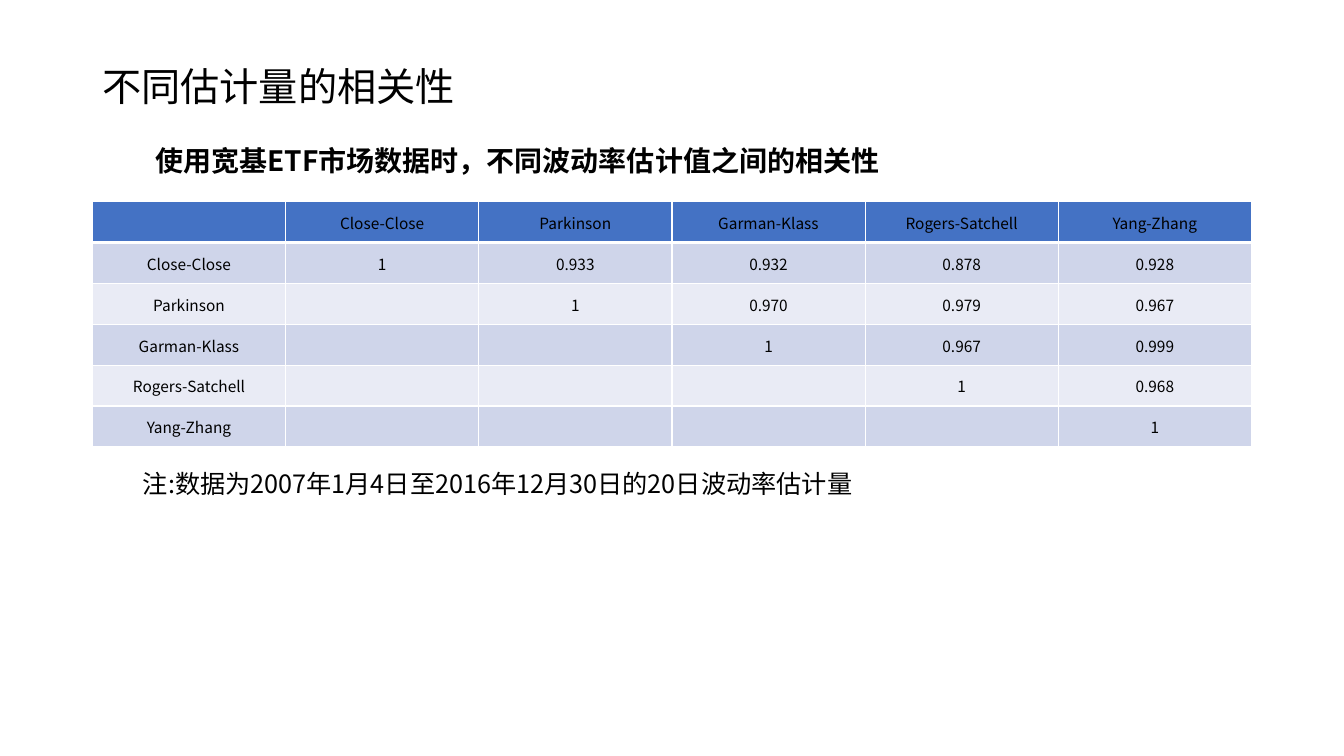
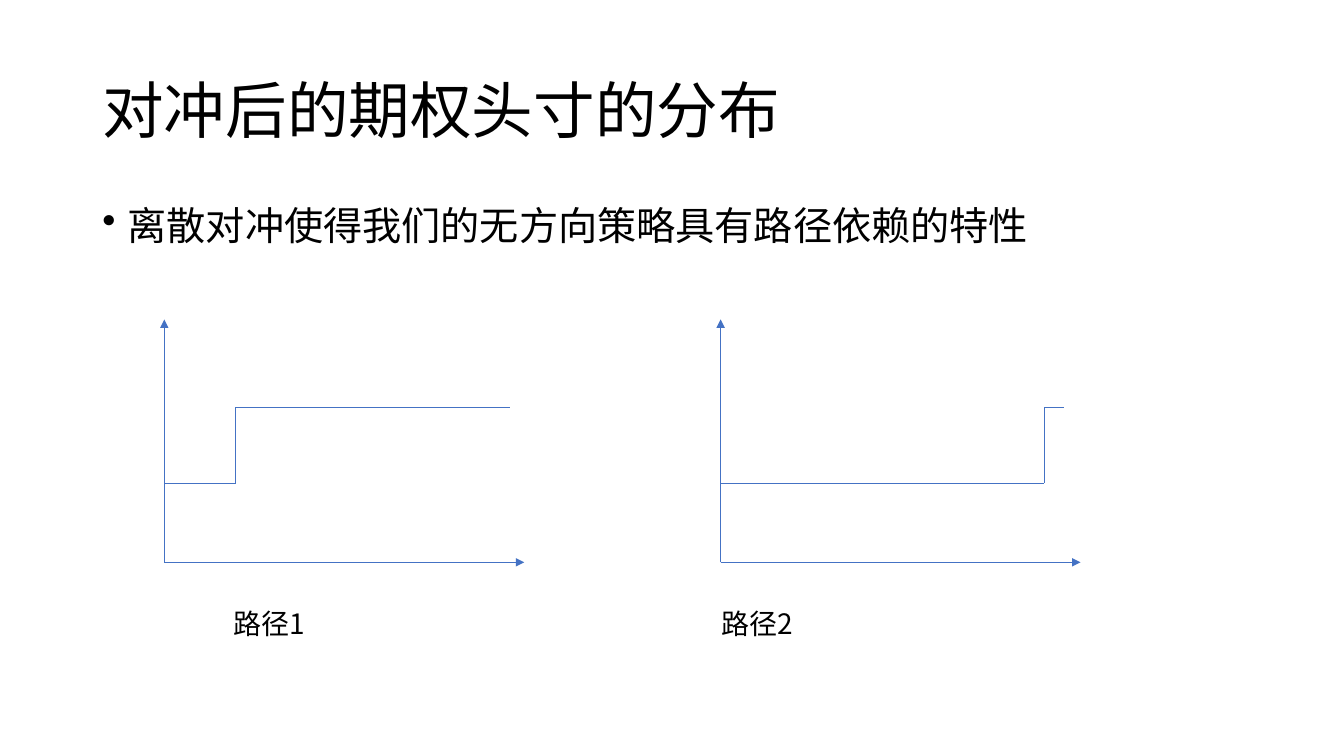
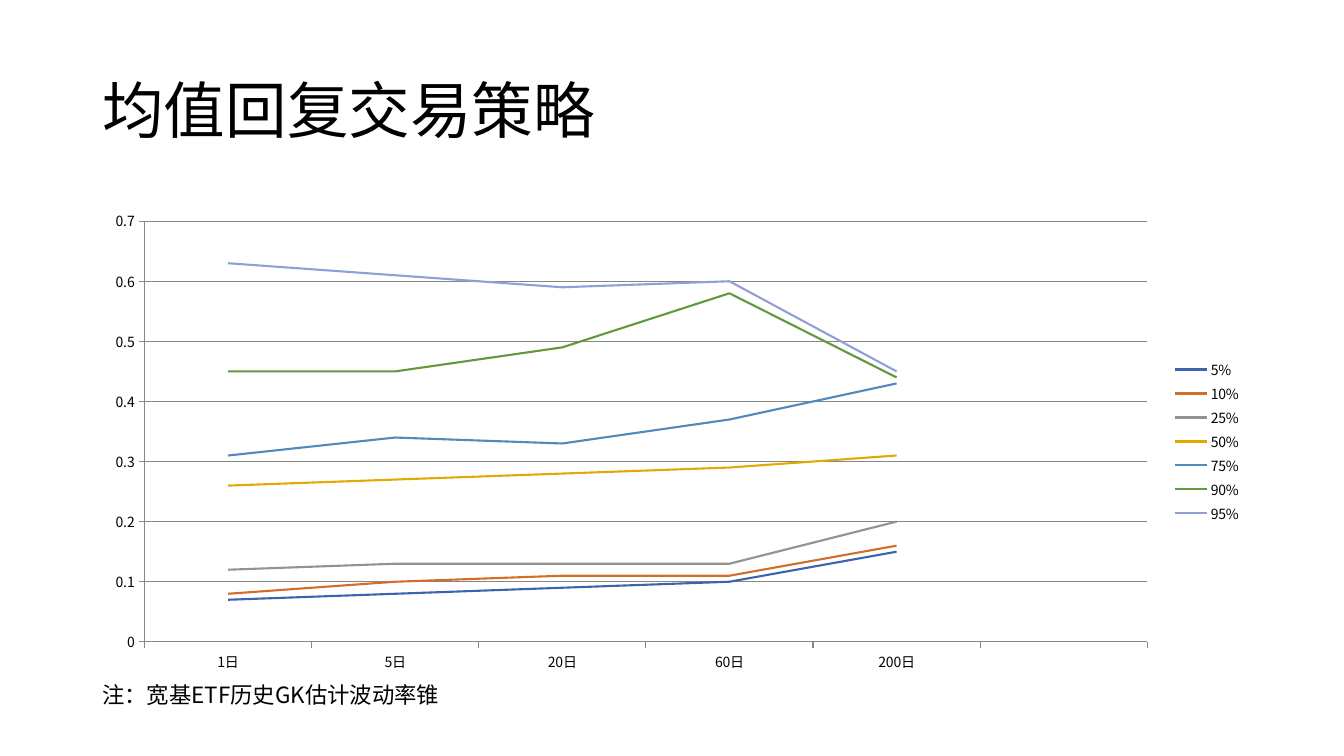
"""Build three slides on volatility estimators and hedged option positions."""
from dataclasses import dataclass

from lxml import etree
from pptx import Presentation
from pptx.chart.data import CategoryChartData
from pptx.dml.color import RGBColor
from pptx.enum.chart import XL_CHART_TYPE, XL_LEGEND_POSITION, XL_TICK_MARK
from pptx.enum.shapes import MSO_CONNECTOR
from pptx.enum.text import MSO_ANCHOR, PP_ALIGN
from pptx.oxml.ns import qn
from pptx.util import Cm, Pt

STRAIGHT = MSO_CONNECTOR.STRAIGHT
MIDDLE, TOP = MSO_ANCHOR.MIDDLE, MSO_ANCHOR.TOP
CENTER, LEFT = PP_ALIGN.CENTER, PP_ALIGN.LEFT
LINE_CHART = XL_CHART_TYPE.LINE
LEGEND_RIGHT = XL_LEGEND_POSITION.RIGHT
TICK_OUTSIDE = XL_TICK_MARK.OUTSIDE


@dataclass(frozen=True)
class Theme:
    """Colours, font and type sizes in points."""
    font: str = "Noto Sans CJK SC"
    text: str = "000000"
    accent: str = "4472C4"
    band_dark: str = "CFD5EA"
    band_light: str = "E9EBF5"
    border: str = "FFFFFF"
    grid: str = "868686"
    title: int = 44
    small_title: int = 28
    body: int = 28
    subtitle: int = 20
    note: int = 18
    small_note: int = 16
    table: int = 11
    chart: int = 10


@dataclass(frozen=True)
class Box:
    """A rectangle in centimetres."""
    left: float
    top: float
    width: float
    height: float

    def lengths(self) -> tuple:
        """Return the four measures as lengths."""
        return Cm(self.left), Cm(self.top), Cm(self.width), Cm(self.height)


@dataclass(frozen=True)
class PathPlot:
    """A stepped price path, with offsets from its origin in centimetres."""
    label: str
    label_left: float
    origin: float
    jump: float
    end: float


@dataclass(frozen=True)
class Cone:
    """One percentile line of the volatility cone."""
    name: str
    color: str
    values: tuple


THEME = Theme()
TITLE = Box(2.33, 1.02, 29.21, 3.68)
SMALL_TITLE = Box(2.33, 1.02, 11.51, 2.46)
CONTENT = Box(2.33, 5.08, 29.21, 12.09)

FUND = "宽基ETF"
ESTIMATORS = ("Close-Close", "Parkinson", "Garman-Klass", "Rogers-Satchell", "Yang-Zhang")
CORRELATIONS = (
    ("1", "0.933", "0.932", "0.878", "0.928"),
    ("1", "0.970", "0.979", "0.967"),
    ("1", "0.967", "0.999"),
    ("1", "0.968"),
    ("1",),
)

AXIS_BASE, AXIS_TOP, AXIS_LENGTH = 14.17, 8.05, 9.07
PATH_LOW, PATH_HIGH = 12.17, 10.26
PATHS = (
    PathPlot("路径1", 5.63, 4.14, 1.8, 8.71),
    PathPlot("路径2", 17.93, 18.16, 8.15, 8.66),
)

PERIODS = ("1日", "5日", "20日", "60日", "200日", "")
CONES = (
    Cone("5%", "3B64AD", (0.07, 0.08, 0.09, 0.1, 0.15)),
    Cone("10%", "D26E2A", (0.08, 0.1, 0.11, 0.11, 0.16)),
    Cone("25%", "929292", (0.12, 0.13, 0.13, 0.13, 0.2)),
    Cone("50%", "E2AA00", (0.26, 0.27, 0.28, 0.29, 0.31)),
    Cone("75%", "5089BC", (0.31, 0.34, 0.33, 0.37, 0.43)),
    Cone("90%", "62993E", (0.45, 0.45, 0.49, 0.58, 0.44)),
    Cone("95%", "90A0D6", (0.63, 0.61, 0.59, 0.6, 0.45)),
)


def rgb(color: str) -> RGBColor:
    """Return a colour from its hexadecimal form."""
    return RGBColor.from_string(color)


def set_font(font, properties, size: int, bold: bool = False) -> None:
    """Apply the theme font to Latin and East Asian characters."""
    font.name = THEME.font
    font.size = Pt(size)
    font.bold = bold
    font.color.rgb = rgb(THEME.text)
    etree.SubElement(properties, qn("a:ea"), typeface=THEME.font)


def write(para, text: str, *, size: int, bold: bool = False, align=LEFT) -> None:
    """Write one formatted span into a paragraph."""
    para.alignment = align
    span = para.add_run()
    span.text = text
    set_font(span.font, span._r.get_or_add_rPr(), size, bold)


def add_text(page, box: Box, text: str, *, size: int, bold: bool = False,
             anchor=MIDDLE, bullet: bool = False) -> None:
    """Add a wrapped text box with one paragraph."""
    frame = page.shapes.add_textbox(*box.lengths()).text_frame
    frame.word_wrap = True
    frame.vertical_anchor = anchor
    para = frame.paragraphs[0]
    para.line_spacing = 0.9
    write(para, text, size=size, bold=bold)
    if bullet:
        para.space_before = Pt(10)
        properties = para._p.get_or_add_pPr()
        properties.set("marL", str(Cm(0.64)))
        properties.set("indent", str(-Cm(0.64)))
        etree.SubElement(properties, qn("a:buChar"), char="•")


def add_line(page, start: tuple, end: tuple, arrow: bool = False) -> None:
    """Draw a thin straight line between two points in centimetres."""
    line = page.shapes.add_connector(STRAIGHT, *(Cm(value) for value in start + end))
    line.line.color.rgb = rgb(THEME.accent)
    line.line.width = Pt(0.5)
    if arrow:
        etree.SubElement(line.line._get_or_add_ln(), qn("a:tailEnd"), type="triangle")
    etree.SubElement(line._element.spPr, qn("a:effectLst"))


def set_borders(cell, top: int, bottom: int) -> None:
    """Give a cell solid borders, with top and bottom widths in points."""
    properties = cell._tc.get_or_add_tcPr()
    widths = {"lnL": 1, "lnR": 1, "lnT": top, "lnB": bottom}
    for position, (side, width) in enumerate(widths.items()):
        border = etree.Element(qn(f"a:{side}"), w=str(Pt(width)))
        fill = etree.SubElement(border, qn("a:solidFill"))
        etree.SubElement(fill, qn("a:srgbClr"), val=THEME.border)
        properties.insert(position, border)


def add_correlation_table(page, box: Box) -> None:
    """Add the upper triangular correlation table."""
    count = len(ESTIMATORS)
    rows = [("", *ESTIMATORS)]
    for index, (name, values) in enumerate(zip(ESTIMATORS, CORRELATIONS)):
        rows.append((name, *[""] * index, *values))
    table = page.shapes.add_table(count + 1, count + 1, *box.lengths()).table
    for row, texts in enumerate(rows):
        color = THEME.band_dark if row % 2 else THEME.band_light
        for column, text in enumerate(texts):
            cell = table.cell(row, column)
            cell.fill.solid()
            cell.fill.fore_color.rgb = rgb(color if row else THEME.accent)
            set_borders(cell, 3 if row == 1 else 1, 1 if row else 3)
            cell.vertical_anchor = MIDDLE
            cell.margin_left = cell.margin_right = cell.margin_top = Cm(0.03)
            cell.margin_bottom = Cm(0)
            if text:
                write(cell.text_frame.paragraphs[0], text, size=THEME.table, align=CENTER)


def add_path_plot(page, plot: PathPlot) -> None:
    """Draw two axes, a stepped path and its label."""
    origin = (plot.origin, AXIS_BASE)
    add_line(page, origin, (plot.origin + AXIS_LENGTH, AXIS_BASE), arrow=True)
    add_line(page, origin, (plot.origin, AXIS_TOP), arrow=True)
    jump = plot.origin + plot.jump
    points = ((plot.origin, PATH_LOW), (jump, PATH_LOW), (jump, PATH_HIGH),
              (plot.origin + plot.end, PATH_HIGH))
    for start, end in zip(points, points[1:]):
        add_line(page, start, end)
    add_text(page, Box(plot.label_left, 15.13, 4, 1.25), plot.label, size=THEME.subtitle)


def add_cone_chart(page, box: Box) -> None:
    """Add the line chart of the volatility cone."""
    data = CategoryChartData()
    data.categories = PERIODS
    for cone in CONES:
        data.add_series(cone.name, (*cone.values, None))
    chart = page.shapes.add_chart(LINE_CHART, *box.lengths(), data).chart
    set_font(chart.font, chart.font._rPr, THEME.chart)
    chart.has_title = False
    chart.has_legend = True
    chart.legend.position = LEGEND_RIGHT
    chart.legend.include_in_layout = False
    chart.plots[0].vary_by_categories = False
    for series, cone in zip(chart.plots[0].series, CONES):
        series.smooth = False
        series.format.line.color.rgb = rgb(cone.color)
        series.format.line.width = Pt(1.5)
    for axis in (chart.category_axis, chart.value_axis):
        axis.major_tick_mark = TICK_OUTSIDE
        axis.format.line.color.rgb = rgb(THEME.grid)
    value_axis = chart.value_axis
    value_axis.minimum_scale, value_axis.maximum_scale = 0, 0.7
    value_axis.major_unit = 0.1
    value_axis.has_major_gridlines = True
    value_axis.major_gridlines.format.line.color.rgb = rgb(THEME.grid)


def build_correlation(page) -> None:
    """Build the slide comparing the estimators."""
    add_text(page, SMALL_TITLE, "不同估计量的相关性", size=THEME.small_title)
    add_correlation_table(page, Box(CONTENT.left, CONTENT.top, CONTENT.width, 6.18))
    add_text(page, Box(3.35, 11.61, 25.25, 1.25),
             "注:数据为2007年1月4日至2016年12月30日的20日波动率估计量", size=THEME.note)
    add_text(page, Box(3.66, 3.48, 25.25, 1.25),
             f"使用{FUND}市场数据时，不同波动率估计值之间的相关性", size=THEME.subtitle, bold=True)


def build_paths(page) -> None:
    """Build the slide on path dependence."""
    add_text(page, TITLE, "对冲后的期权头寸的分布", size=THEME.title)
    add_text(page, Box(CONTENT.left, CONTENT.top, CONTENT.width, 2),
             "离散对冲使得我们的无方向策略具有路径依赖的特性",
             size=THEME.body, anchor=TOP, bullet=True)
    for plot in PATHS:
        add_path_plot(page, plot)


def build_cone(page) -> None:
    """Build the slide with the volatility cone."""
    add_text(page, TITLE, "均值回复交易策略", size=THEME.title)
    add_cone_chart(page, CONTENT)
    add_text(page, Box(CONTENT.left, 17.02, 11.76, 1.04),
             f"注：{FUND}历史GK估计波动率锥", size=THEME.small_note)


def main() -> None:
    """Build and save the deck."""
    deck = Presentation()
    deck.slide_width, deck.slide_height = Cm(33.87), Cm(19.05)
    for build in (build_correlation, build_paths, build_cone):
        build(deck.slides.add_slide(deck.slide_layouts[6]))
    deck.save("out.pptx")


if __name__ == "__main__":
    main()
